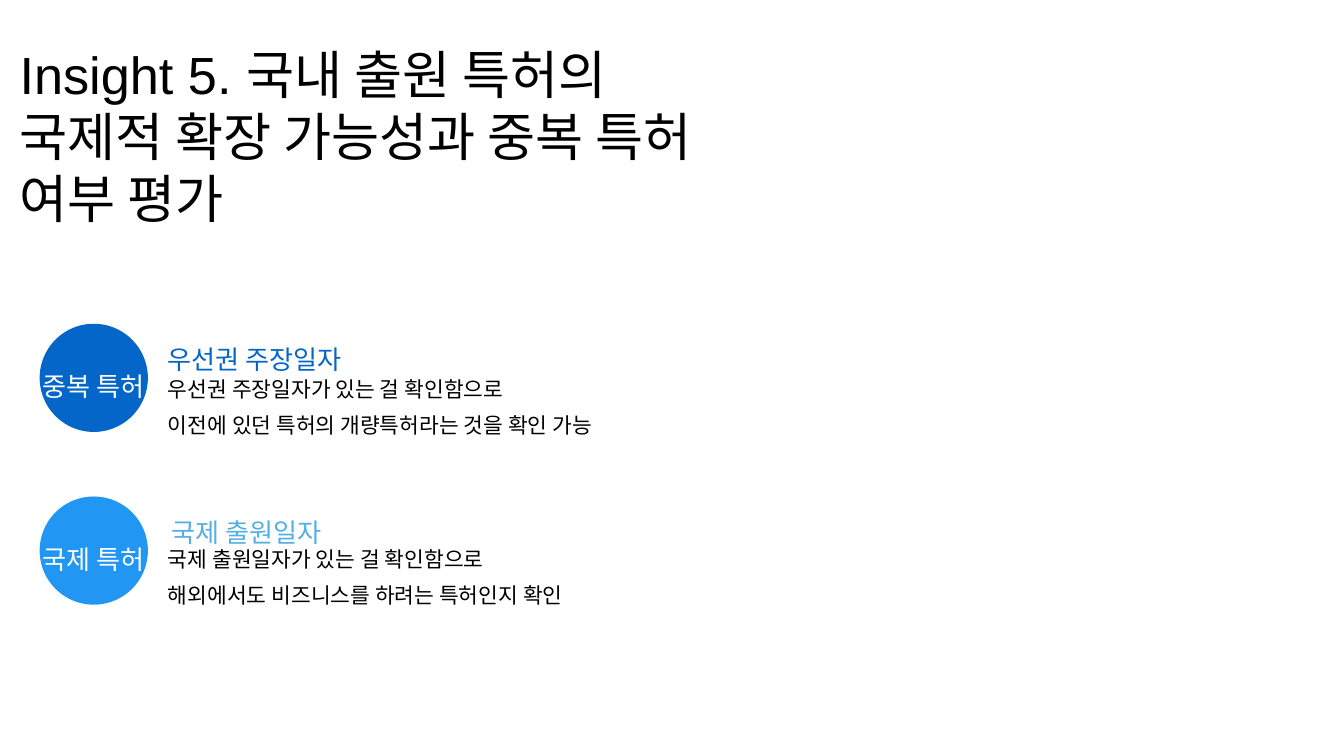
import pptx
import pptx.util
import pptx.dml.color
import pptx.enum.shapes
import pptx.enum.text
from dataclasses import dataclass

Cm = pptx.util.Cm
ALIGN = pptx.enum.text.PP_ALIGN


@dataclass(frozen=True)
class Theme:
    title_font: str = "Arial"
    body_font: str = "Calibri"
    title_size: int = 56
    heading_size: int = 28
    body_size: int = 23
    title_spacing: float = 0.99
    body_spacing: float = 1.4
    black: str = "000000"
    white: str = "FFFFFF"
    deep_blue: str = "0466C8"
    bright_blue: str = "2196F3"
    sky_blue: str = "54AFE5"


THEME = Theme()


@dataclass(frozen=True)
class PatentKind:
    label: str
    heading: str
    details: tuple
    circle_color: str
    heading_color: str
    heading_indent: float
    heading_width: float
    details_top: float
    details_width: float
    label_height: float


KINDS = (
    PatentKind("중복 특허", "우선권 주장일자",
               ("우선권 주장일자가 있는 걸 확인함으로",
                "이전에 있던 특허의 개량특허라는 것을 확인 가능"),
               THEME.deep_blue, THEME.deep_blue,
               0, 9.63, 1.6, 16.23, 1.35),
    PatentKind("국제 특허", "국제 출원일자",
               ("국제 출원일자가 있는 걸 확인함으로",
                "해외에서도 비즈니스를 하려는 특허인지 확인"),
               THEME.bright_blue, THEME.sky_blue,
               0.15, 6.73, 1.47, 15.82, 2.72),
)


def rgb(color):
    return pptx.dml.color.RGBColor.from_string(color)


def add_text(slide, box, lines, size, color, font=THEME.body_font,
             spacing=THEME.body_spacing, align=ALIGN.LEFT):
    """Place a text box without margins; box is left, top, width, height in cm."""
    frame = slide.shapes.add_textbox(*map(Cm, box)).text_frame
    frame.word_wrap = True
    frame.auto_size = pptx.enum.text.MSO_AUTO_SIZE.SHAPE_TO_FIT_TEXT
    frame.margin_left = frame.margin_right = 0
    frame.margin_top = frame.margin_bottom = 0
    frame.text = "\n".join(lines)
    for paragraph in frame.paragraphs:
        paragraph.alignment = align
        paragraph.line_spacing = spacing
        paragraph.font.name = font
        paragraph.font.size = pptx.util.Pt(size)
        paragraph.font.color.rgb = rgb(color)


def add_title(slide, box):
    add_text(slide, box,
             ["Insight 5. 국내 출원 특허의 국제적 확장 가능성과 중복 특허 여부 평가"],
             THEME.title_size, THEME.black, THEME.title_font, THEME.title_spacing)


def add_patent_kind(slide, left, top, diameter, kind):
    label_width = 5.61
    text_left = left + label_width

    # Circle with its label
    circle_left = left + (label_width - diameter) / 2
    circle = slide.shapes.add_shape(
        pptx.enum.shapes.MSO_SHAPE.OVAL,
        Cm(circle_left), Cm(top), Cm(diameter), Cm(diameter))
    circle.shadow.inherit = False
    circle.fill.solid()
    circle.fill.fore_color.rgb = rgb(kind.circle_color)
    circle.line.fill.background()
    add_text(slide, (left, top + 1.3, label_width, kind.label_height),
             [kind.label], THEME.heading_size, THEME.white, align=ALIGN.CENTER)

    # Heading and details
    add_text(slide, (text_left + kind.heading_indent, top + 0.28,
                     kind.heading_width, 1.35),
             [kind.heading], THEME.heading_size, kind.heading_color)
    add_text(slide, (text_left, top + kind.details_top, kind.details_width, 2.18),
             kind.details, THEME.body_size, THEME.black)


def main():
    presentation = pptx.Presentation()
    presentation.slide_width = Cm(50.8)
    presentation.slide_height = Cm(28.58)
    slide = presentation.slides.add_slide(presentation.slide_layouts[6])

    margin = 0.74
    first_row, row_pitch = 12.24, 6.53
    add_title(slide, (margin, 1.7, 25.83, 7.85))
    for row, kind in enumerate(KINDS):
        add_patent_kind(slide, margin, first_row + row * row_pitch, 4.09, kind)

    presentation.save("out.pptx")


if __name__ == "__main__":
    main()
